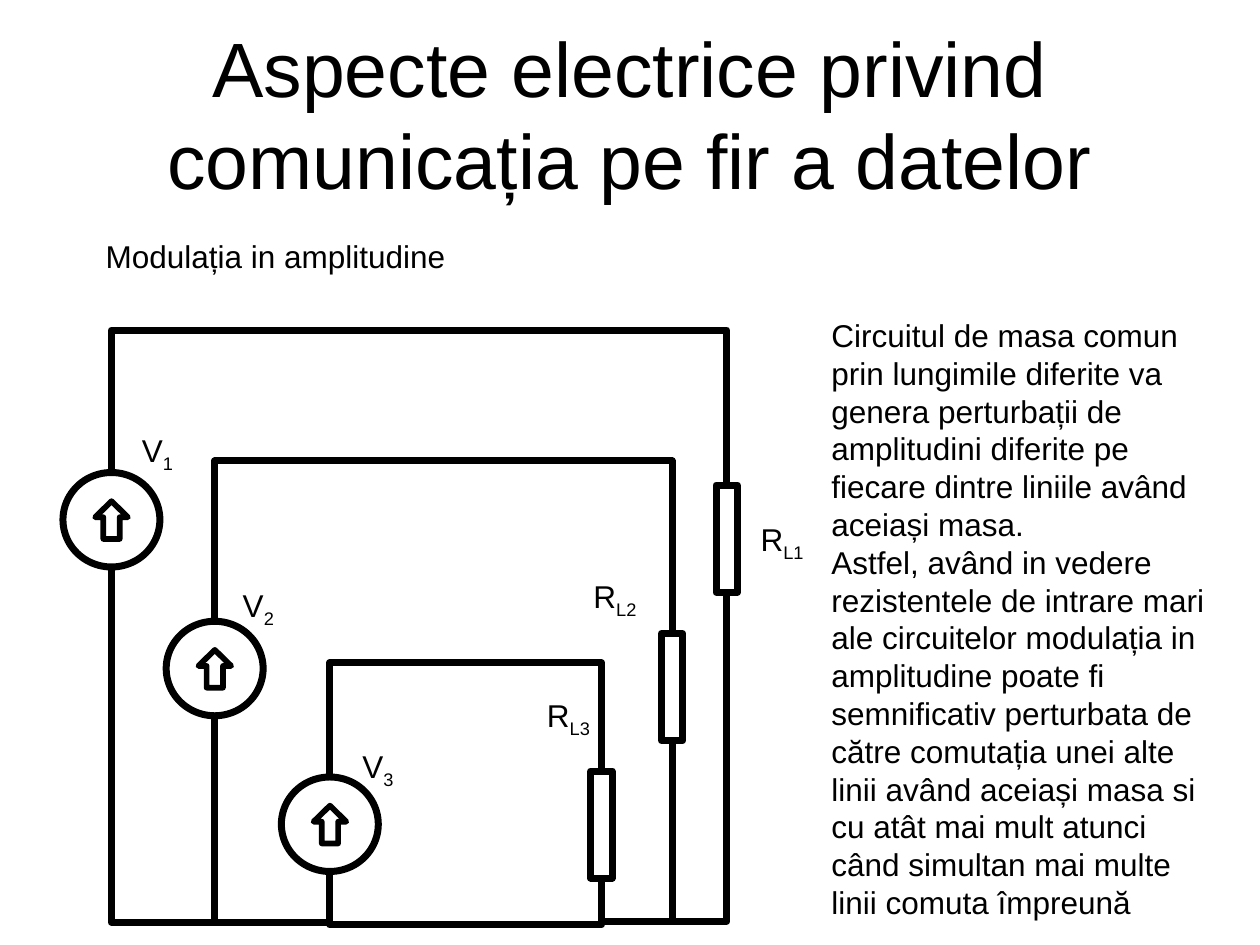
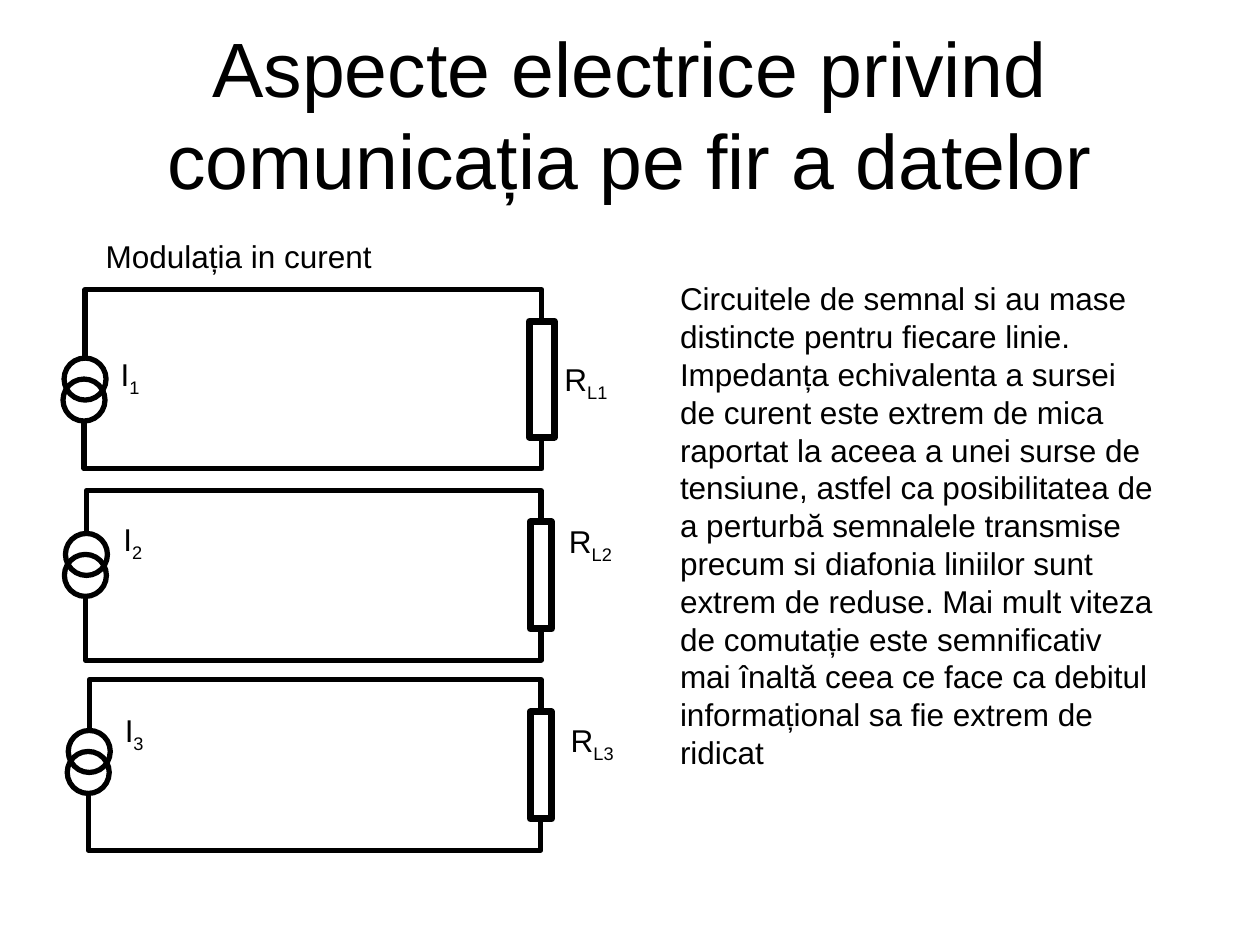
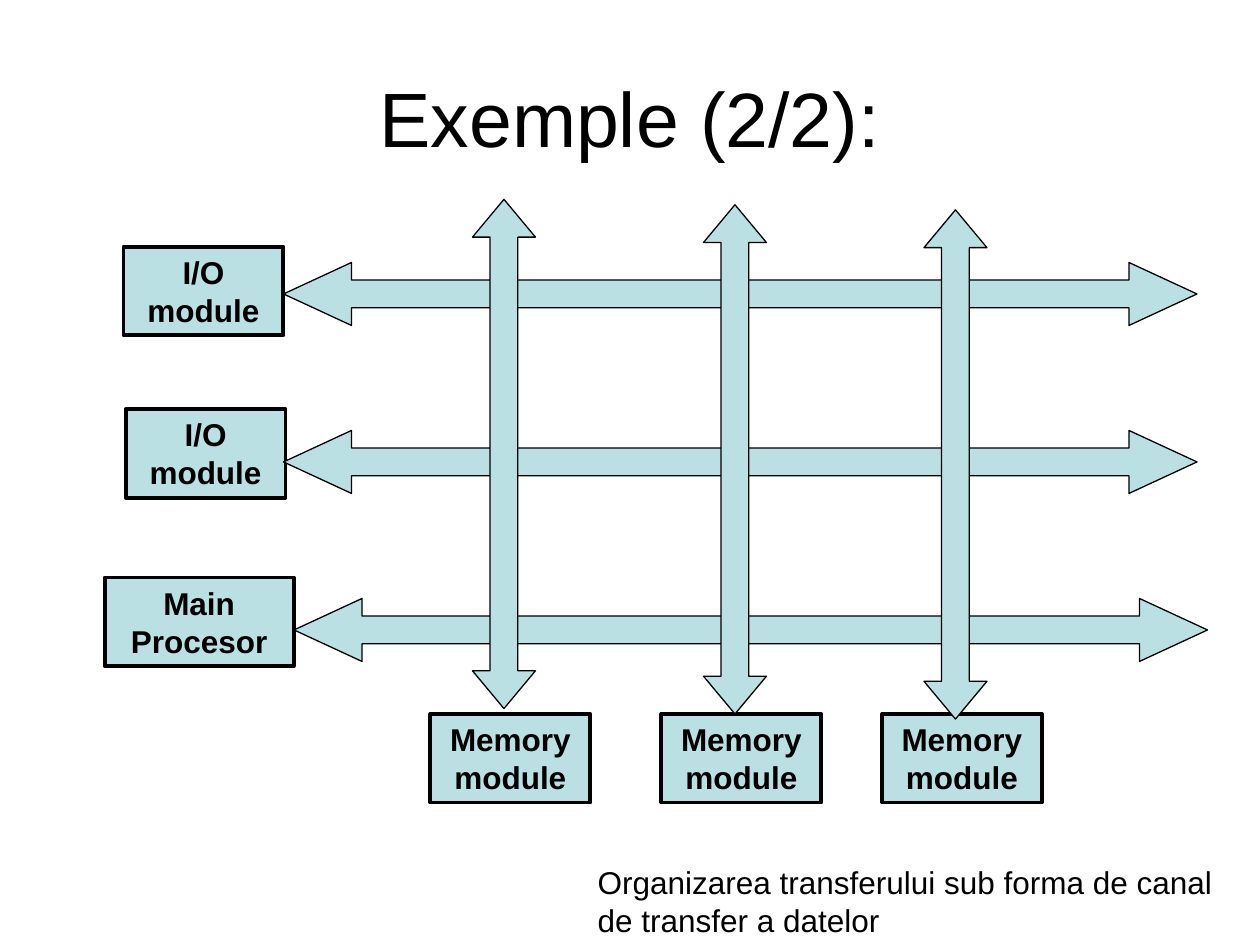
from dataclasses import dataclass

from lxml.etree import SubElement
from pptx import Presentation
from pptx.dml.color import RGBColor
from pptx.enum.shapes import MSO_CONNECTOR, MSO_SHAPE
from pptx.enum.text import MSO_ANCHOR, MSO_AUTO_SIZE, PP_ALIGN
from pptx.oxml.ns import qn
from pptx.util import Pt


@dataclass(frozen=True)
class Theme:
    font: str = "Arial"
    ink: RGBColor = RGBColor(0x00, 0x00, 0x00)
    panel: RGBColor = RGBColor(0xBB, 0xE0, 0xE3)
    title_size: float = 44
    text_size: float = 18
    heavy_line: float = 4
    inner_line: float = 3.25
    wire_line: float = 3
    box_line: float = 2.25
    arrow_line: float = 0.75


THEME = Theme()

ELECTRIC_TITLE = "Aspecte electrice privind comunicația pe fir a datelor"
HEADING_BOX = (53.3, 131.8, 210, 29)
LABEL_SIZE = (40, 32)
RESISTOR_SIZE = (12.2, 61.2)

VOLTAGE = {
    "heading": "Modulația in amplitudine",
    "text_box": (468, 177, 228, 353),
    "text": [
        "Circuitul de masa comun prin lungimile diferite va genera perturbații de "
        "amplitudini diferite pe fiecare dintre liniile având aceiași masa.",
        "Astfel, având in vedere rezistentele de intrare mari ale circuitelor modulația in "
        "amplitudine poate fi semnificativ perturbata de către comutația unei alte linii "
        "având aceiași masa si cu atât mai mult atunci când simultan mai multe linii "
        "comuta împreună",
    ],
    # Positions are left, top; "top" is the height of the upper wire.
    "circuits": [
        {"source": (36, 270), "resistor": (409.2, 277.2), "top": 188.6,
         "source_label": (74, 242.6), "load_label": (427.5, 293.6)},
        {"source": (95, 355), "resistor": (378, 362), "top": 263.4,
         "source_label": (131.6, 331.2), "load_label": (332, 326.2)},
        {"source": (160.8, 444), "resistor": (337.6, 440.6), "top": 378.7,
         "source_label": (200, 423.4), "load_label": (305.4, 394)},
    ],
    "ground_heights": [527, 527, 528.5, 526.4, 526.4],
}
VOLTAGE_SOURCE_SIZE = (55.4, 54)

CURRENT = {
    "heading": "Modulația in curent",
    "text_box": (381.5, 156.2, 286, 288),
    "text": [
        "Circuitele de semnal si au mase distincte pentru fiecare linie. Impedanța "
        "echivalenta a sursei de curent este extrem de mica raportat la aceea a unei surse "
        "de tensiune, astfel ca posibilitatea de a perturbă semnalele transmise precum si "
        "diafonia liniilor sunt extrem de reduse. Mai mult viteza de comutație este "
        "semnificativ mai înaltă ceea ce face ca debitul informațional sa fie extrem de "
        "ridicat",
    ],
    "circuits": [
        {"source": (36, 204.6), "resistor": (302.4, 183.6), "size": (14.4, 66.2),
         "top": 165.5, "bottom": 267.8,
         "source_label": (61.8, 199.4), "load_label": (315.4, 202.4)},
        {"source": (36.8, 304.8), "resistor": (303, 298.2), "size": RESISTOR_SIZE,
         "top": 280.3, "bottom": 377.3,
         "source_label": (63.4, 293.8), "load_label": (318, 295)},
        {"source": (38.4, 417.4), "resistor": (303, 406.8), "size": RESISTOR_SIZE,
         "top": 388.3, "bottom": 485.8,
         "source_label": (64.2, 402.6), "load_label": (319, 408.4)},
    ],
}
RING_DIAMETER = 24
RING_OFFSETS = [(0.6, 0), (0, 12)]

BUS_TITLE = "Exemple (2/2):"
MODULES = [
    ("I/O module", 70.6, 141, 91.4),
    ("I/O module", 71.8, 233.8, 91.4),
    ("Main Procesor", 59.8, 330, 108),
    ("Memory module", 246, 408, 91.4),
    ("Memory module", 378, 408, 91.4),
    ("Memory module", 504, 408, 91.4),
]
MODULE_HEIGHT = 50.6
BUS_THICKNESS = 36
ROW_LENGTH, ROW_HEAD = 522, 1.08
COLUMN_LENGTH, COLUMN_HEAD = 291, 0.6
ROW_BUSES = [(168, 342), (162, 246), (162, 150)]
COLUMN_BUS_CENTRES = [(288, 259.4), (420, 262.5), (546, 265.4)]
CAPTION = "Organizarea transferului sub forma de canal de transfer a datelor"
CAPTION_BOX = (334.5, 489.6, 385, 50.4)


def points(*values):
    return [Pt(value) for value in values]


def add_run(paragraph, text, size=THEME.text_size, bold=False, subscript=False):
    run = paragraph.add_run()
    run.text = text
    run.font.name = THEME.font
    run.font.size = Pt(size)
    run.font.bold = bold
    run.font.color.rgb = THEME.ink
    if subscript:
        run.font._element.set("baseline", "-25000")


def add_titled_slide(presentation, title, top):
    slide = presentation.slides.add_slide(presentation.slide_layouts[5])
    placeholder = slide.shapes.title
    placeholder.left, placeholder.top, placeholder.width, placeholder.height = points(36, top, 648, 90)
    frame = placeholder.text_frame
    frame.auto_size = MSO_AUTO_SIZE.NONE
    frame.vertical_anchor = MSO_ANCHOR.MIDDLE
    frame.paragraphs[0].alignment = PP_ALIGN.CENTER
    add_run(frame.paragraphs[0], title, THEME.title_size)
    return slide


def add_text(slide, box, texts, wrap=True):
    frame = slide.shapes.add_textbox(*points(*box)).text_frame
    frame.word_wrap = wrap
    for index, text in enumerate(texts):
        paragraph = frame.add_paragraph() if index else frame.paragraphs[0]
        add_run(paragraph, text)


def add_label(slide, position, letter, subscript):
    frame = slide.shapes.add_textbox(*points(*position, *LABEL_SIZE)).text_frame
    frame.word_wrap = False
    add_run(frame.paragraphs[0], letter)
    add_run(frame.paragraphs[0], subscript, subscript=True)


def add_figure(slide, kind, box, line_width, fill=None, adjustments=()):
    shape = slide.shapes.add_shape(kind, *points(*box))
    shape.shadow.inherit = False
    if fill is None:
        shape.fill.background()
    else:
        shape.fill.solid()
        shape.fill.fore_color.rgb = fill
    shape.line.color.rgb = THEME.ink
    shape.line.width = Pt(line_width)
    for index, value in enumerate(adjustments):
        shape.adjustments[index] = value
    return shape


def add_wire(slide, start, end, height, line_width):
    """Join two terminals, left to right, by a U-shaped elbow whose flat part is at height."""
    (start_x, start_y), (end_x, end_y) = start, end
    rise, span = end_y - start_y, end_x - start_x
    left = (start_x + end_x - abs(rise)) / 2
    top = (start_y + end_y - span) / 2
    wire = slide.shapes.add_connector(
        MSO_CONNECTOR.ELBOW, *points(left, top, left + abs(rise), top + span))
    wire.line.color.rgb = THEME.ink
    wire.line.width = Pt(line_width)
    properties = wire._element.spPr
    SubElement(properties, qn("a:effectLst"))
    transform = properties.find(qn("a:xfrm"))
    transform.set("rot", str((90 if rise > 0 else 270) * 60000))
    if rise > 0:
        transform.set("flipV", "1")
    guides = properties.find(qn("a:prstGeom")).find(qn("a:avLst"))
    bend = round((height - start_y) / rise * 100000)
    SubElement(guides, qn("a:gd"), name="adj1", fmla=f"val {bend}")


def terminals(position, size):
    """Return the middle of the top edge and of the bottom edge."""
    (left, top), (width, height) = position, size
    return (left + width / 2, top), (left + width / 2, top + height)


def add_circuit_slide(presentation, content):
    slide = add_titled_slide(presentation, ELECTRIC_TITLE, 19.4)
    add_text(slide, HEADING_BOX, [content["heading"]], wrap=False)
    add_text(slide, content["text_box"], content["text"])
    return slide


def add_load_and_labels(slide, circuit, letter, number, size):
    add_figure(slide, MSO_SHAPE.RECTANGLE, (*circuit["resistor"], *size), THEME.heavy_line)
    add_label(slide, circuit["source_label"], letter, str(number))
    add_label(slide, circuit["load_label"], "R", f"L{number}")


def add_voltage_slide(presentation):
    slide = add_circuit_slide(presentation, VOLTAGE)
    source_feet, load_feet = [], []
    for number, circuit in enumerate(VOLTAGE["circuits"], 1):
        left, top = circuit["source"]
        add_figure(slide, MSO_SHAPE.OVAL, (left, top, *VOLTAGE_SOURCE_SIZE), THEME.heavy_line)
        add_figure(slide, MSO_SHAPE.UP_ARROW, (left + 18.4, top + 16.4, 18.7, 21.6),
                   THEME.inner_line, adjustments=(0.5, 0.49))
        add_load_and_labels(slide, circuit, "V", number, RESISTOR_SIZE)
        source_head, source_foot = terminals(circuit["source"], VOLTAGE_SOURCE_SIZE)
        load_head, load_foot = terminals(circuit["resistor"], RESISTOR_SIZE)
        add_wire(slide, source_head, load_head, circuit["top"], THEME.heavy_line)
        source_feet.append(source_foot)
        load_feet.append(load_foot)
    feet = source_feet + load_feet[::-1]
    for start, end, height in zip(feet, feet[1:], VOLTAGE["ground_heights"]):
        add_wire(slide, start, end, height, THEME.heavy_line)


def add_current_slide(presentation):
    slide = add_circuit_slide(presentation, CURRENT)
    for number, circuit in enumerate(CURRENT["circuits"], 1):
        left, top = circuit["source"]
        rings = [(left + across, top + down) for across, down in RING_OFFSETS]
        ring_size = (RING_DIAMETER, RING_DIAMETER)
        for ring in rings:
            add_figure(slide, MSO_SHAPE.OVAL, (*ring, *ring_size), THEME.wire_line)
        add_load_and_labels(slide, circuit, "I", number, circuit["size"])
        source_head = terminals(rings[0], ring_size)[0]
        source_foot = terminals(rings[1], ring_size)[1]
        load_head, load_foot = terminals(circuit["resistor"], circuit["size"])
        add_wire(slide, source_head, load_head, circuit["top"], THEME.wire_line)
        add_wire(slide, source_foot, load_foot, circuit["bottom"], THEME.wire_line)


def add_bus(slide, left, top, length, head):
    return add_figure(slide, MSO_SHAPE.LEFT_RIGHT_ARROW, (left, top, length, BUS_THICKNESS),
                      THEME.arrow_line, THEME.panel, (0.44, head))


def add_bus_slide(presentation):
    slide = add_titled_slide(presentation, BUS_TITLE, 21.6)
    for name, left, top, width in MODULES:
        module = add_figure(slide, MSO_SHAPE.RECTANGLE, (left, top, width, MODULE_HEIGHT),
                            THEME.box_line, THEME.panel)
        frame = module.text_frame
        frame.word_wrap = True
        frame.vertical_anchor = MSO_ANCHOR.TOP
        frame.paragraphs[0].alignment = PP_ALIGN.CENTER
        add_run(frame.paragraphs[0], name, bold=True)
    for left, top in ROW_BUSES:
        add_bus(slide, left, top, ROW_LENGTH, ROW_HEAD)
    for centre_x, centre_y in COLUMN_BUS_CENTRES:
        bus = add_bus(slide, centre_x - COLUMN_LENGTH / 2, centre_y - BUS_THICKNESS / 2,
                      COLUMN_LENGTH, COLUMN_HEAD)
        bus.rotation = 270
    add_text(slide, CAPTION_BOX, [CAPTION])


def main():
    presentation = Presentation()
    presentation.slide_width, presentation.slide_height = points(720, 540)
    add_voltage_slide(presentation)
    add_current_slide(presentation)
    add_bus_slide(presentation)
    presentation.save("out.pptx")


if __name__ == "__main__":
    main()
